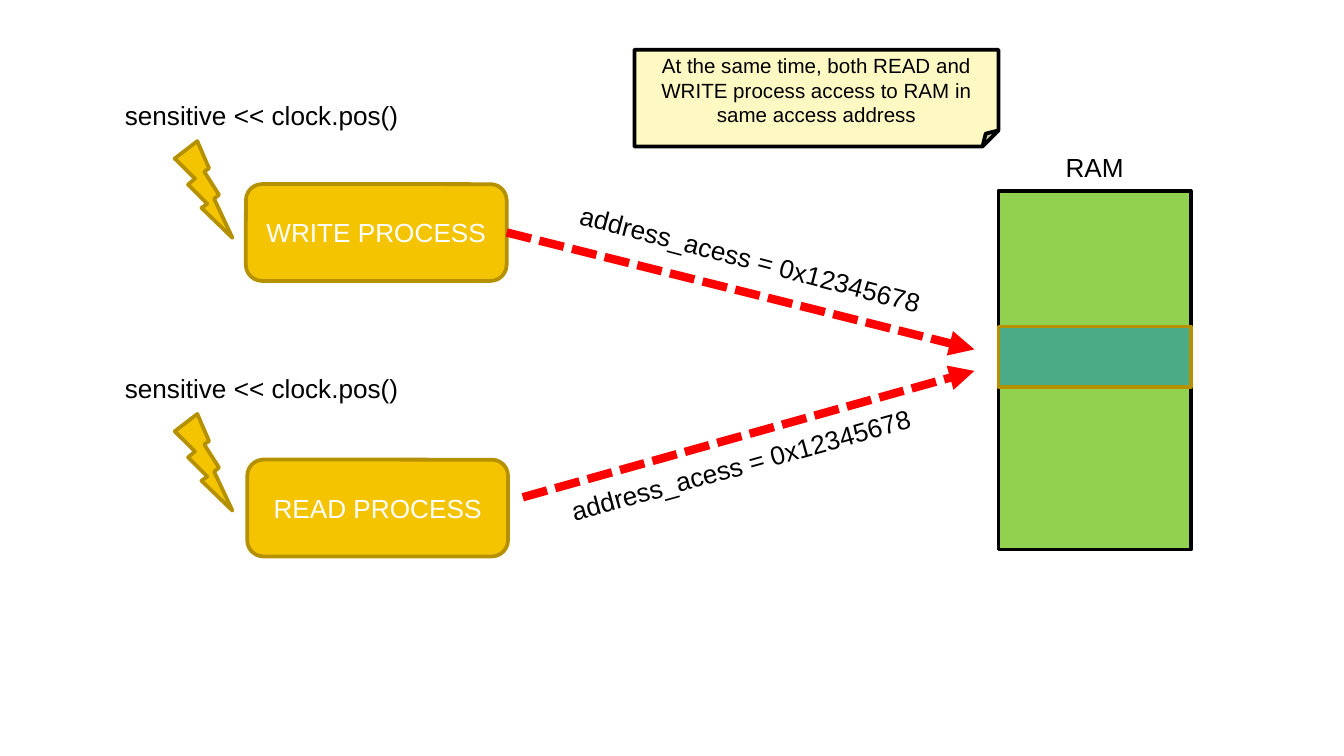
from dataclasses import dataclass

import pptx
import pptx.dml.color
import pptx.enum.dml
import pptx.enum.shapes
import pptx.enum.text
import pptx.oxml
import pptx.oxml.ns
import pptx.util
from pptx.util import Inches, Pt

SHAPE = pptx.enum.shapes.MSO_SHAPE
ALIGN = pptx.enum.text.PP_ALIGN
ANCHOR = pptx.enum.text.MSO_ANCHOR

SLIDE_WIDTH = 10
SLIDE_HEIGHT = SLIDE_WIDTH * 9 / 16

BLACK, WHITE, RED = "000000", "FFFFFF", "FF0000"
AMBER, DARK_AMBER = "F5C400", "B59100"
GREEN, TEAL, CREAM = "92D050", "4BAB86", "FEF9C2"


@dataclass
class Process:
    name: str
    left: float
    top: float
    trigger_top: float
    arrow_start: tuple[float, float]
    arrow_end: tuple[float, float]
    joined: bool
    address_left: float
    address_top: float
    address_rotation: float


PROCESSES = [
    Process("WRITE PROCESS", 1.83, 1.37, 0.69, (3.77, 1.73), (7.25, 2.6),
            True, 4.18, 1.76, 14.7),
    Process("READ PROCESS", 1.84, 3.42, 2.72, (3.89, 3.7), (7.25, 2.76),
            False, 4.11, 3.29, 344.5),
]


def color(value: str) -> pptx.dml.color.RGBColor:
    return pptx.dml.color.RGBColor.from_string(value)


def style_paragraph(paragraph, size: float, font_color: str, alignment) -> None:
    paragraph.alignment = alignment
    paragraph.font.name = "Arial"
    paragraph.font.size = Pt(size)
    paragraph.font.color.rgb = color(font_color)


def add_box(shapes, kind, left: float, top: float, width: float, height: float,
            fill: str, outline: str, text: str = "", size: float = 14,
            font_color: str = BLACK):
    shape = shapes.add_shape(kind, Inches(left), Inches(top), Inches(width), Inches(height))
    shape.shadow.inherit = False
    shape.fill.solid()
    shape.fill.fore_color.rgb = color(fill)
    shape.line.color.rgb = color(outline)
    shape.line.width = Pt(2)
    if text:
        frame = shape.text_frame
        frame.word_wrap = True
        frame.vertical_anchor = ANCHOR.MIDDLE
        frame.text = text
        style_paragraph(frame.paragraphs[0], size, font_color, ALIGN.CENTER)
    return shape


def add_label(shapes, text: str, left: float, top: float, width: float,
              rotation: float = 0) -> None:
    label = shapes.add_textbox(Inches(left), Inches(top), Inches(width), Inches(0.34))
    label.rotation = rotation
    frame = label.text_frame
    frame.word_wrap = False
    frame.auto_size = pptx.enum.text.MSO_AUTO_SIZE.SHAPE_TO_FIT_TEXT
    frame.text = text
    style_paragraph(frame.paragraphs[0], 14, BLACK, ALIGN.LEFT)


def add_access_arrow(shapes, start: tuple[float, float], end: tuple[float, float]):
    arrow = shapes.add_connector(
        pptx.enum.shapes.MSO_CONNECTOR.STRAIGHT,
        *(Inches(value) for value in (*start, *end)))
    arrow.line.color.rgb = color(RED)
    arrow.line.width = Pt(4.5)
    arrow.line.dash_style = pptx.enum.dml.MSO_LINE.SQUARE_DOT
    properties = arrow._element.spPr
    head = pptx.oxml.parse_xml(
        f'<a:tailEnd {pptx.oxml.ns.nsdecls("a")} type="triangle"/>')
    properties.find(pptx.oxml.ns.qn("a:ln")).append(head)
    properties.append(pptx.oxml.parse_xml(f'<a:effectLst {pptx.oxml.ns.nsdecls("a")}/>'))
    return arrow


def add_process(shapes, process: Process) -> None:
    box = add_box(shapes, SHAPE.ROUNDED_RECTANGLE, process.left, process.top, 1.94, 0.72,
                  AMBER, DARK_AMBER, process.name, font_color=WHITE)
    arrow = add_access_arrow(shapes, process.arrow_start, process.arrow_end)
    if process.joined:
        arrow.begin_connect(box, 3)
    add_label(shapes, "address_acess = 0x12345678", process.address_left,
              process.address_top, 2.82, process.address_rotation)
    add_box(shapes, SHAPE.LIGHTNING_BOLT, 1.3, process.trigger_top + 0.36, 0.43, 0.72,
            AMBER, DARK_AMBER)
    add_label(shapes, "sensitive << clock.pos()", 0.83, process.trigger_top, 2.25)


def add_memory(shapes) -> None:
    group = shapes.add_group_shape()
    add_label(group.shapes, "RAM", 7.83, 1.08, 0.64)
    add_box(group.shapes, SHAPE.RECTANGLE, 7.43, 1.42, 1.43, 2.67, GREEN, BLACK)
    add_box(group.shapes, SHAPE.RECTANGLE, 7.43, 2.43, 1.43, 0.45, TEAL, DARK_AMBER)


def main() -> None:
    presentation = pptx.Presentation()
    presentation.slide_width = Inches(SLIDE_WIDTH)
    presentation.slide_height = Inches(SLIDE_HEIGHT)
    slide = presentation.slides.add_slide(presentation.slide_layouts[6])
    add_memory(slide.shapes)
    for process in PROCESSES:
        add_process(slide.shapes, process)
    add_box(slide.shapes, SHAPE.FOLDED_CORNER, 4.72, 0.37, 2.71, 0.72, CREAM, BLACK,
            "At the same time, both READ and WRITE process access to RAM "
            "in same access address", 11)
    presentation.save("out.pptx")


if __name__ == "__main__":
    main()
